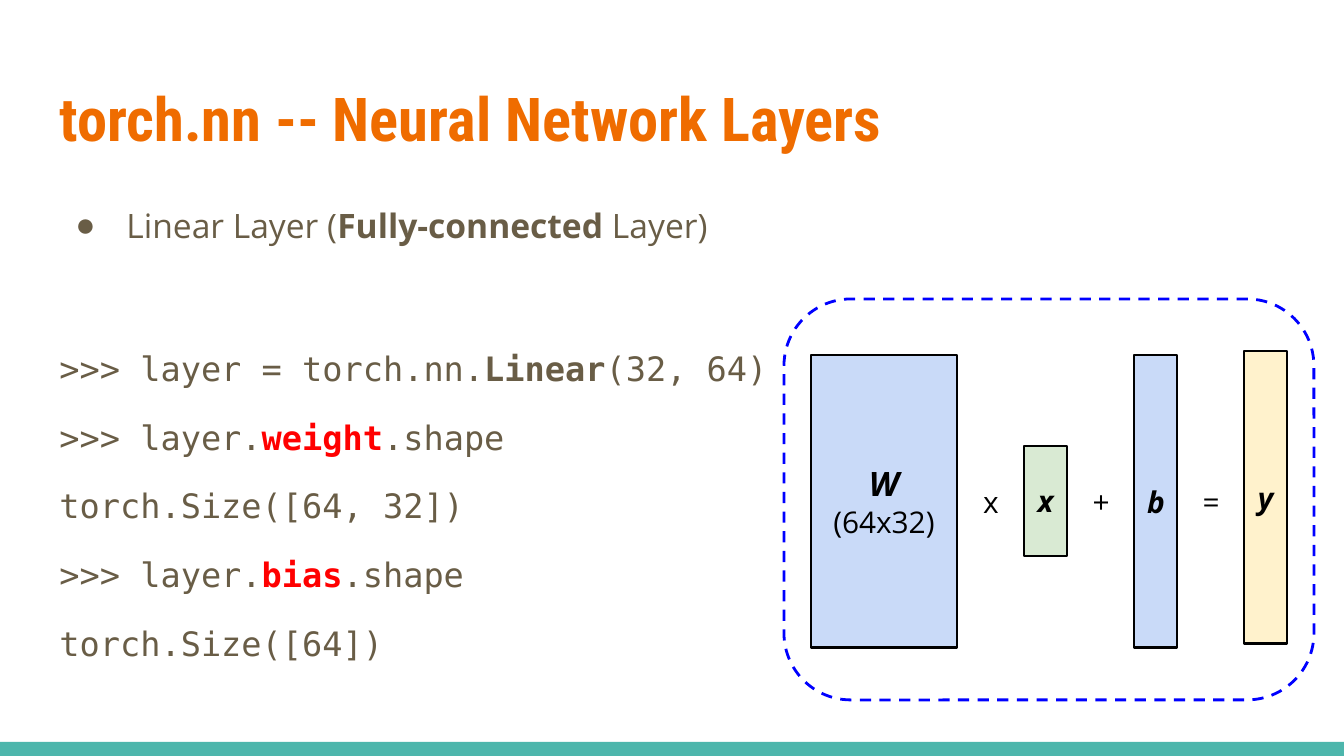
from lxml import etree
from pptx import Presentation, util as u
from pptx.dml.color import RGBColor
from pptx.enum import dml, shapes, text
from pptx.oxml.ns import qn

PX = 914400 / 134.4
INK, RED, BLACK = "695D46", "FF0000", "000000"
SANS, MONO = "Open Sans", "DejaVu Sans Mono"


def rgb(value):
    return RGBColor.from_string(value)


def write(p, s, size, font, color, **fmt):
    r = p.add_run()
    r.text = s
    r.font.color.rgb = rgb(color)
    for name, value in dict(size=u.Pt(size), name=font, **fmt).items():
        setattr(r.font, name, value)


prs = Presentation()
prs.slide_width, prs.slide_height = int(1344 * PX), int(756 * PX)
s = prs.slides.add_slide(prs.slide_layouts[1])
title, body = s.placeholders

# Footer bar
bar = s.shapes.add_shape(shapes.MSO_SHAPE.RECTANGLE, 0, int(742 * PX),
                         prs.slide_width, int(14 * PX))
bar.shadow.inherit = False
bar.fill.solid()
bar.fill.fore_color.rgb = rgb("4DB6AC")
bar.line.fill.background()

# Placeholder frames
for sp, top, height, anchor in ((title, 66, 103, text.MSO_ANCHOR.MIDDLE),
                                (body, 185, 485, text.MSO_ANCHOR.TOP)):
    frame = dict(left=46, top=top, width=1253, height=height)
    for name, value in frame.items():
        setattr(sp, name, int(value * PX))
    tf = sp.text_frame
    tf.auto_size = text.MSO_AUTO_SIZE.NONE
    tf.vertical_anchor = anchor
    for side in ("left", "top", "right", "bottom"):
        setattr(tf, f"margin_{side}", u.Inches(0.1))

# Title
p = title.text_frame.paragraphs[0]
p.alignment = text.PP_ALIGN.LEFT
write(p, "torch.nn -- Neural Network Layers", 32.4, "Roboto Condensed", "EF6C00", bold=True)

# Bullet and code lines: space before, font, then text parts with the bold one's colour
lines = [
    (0, SANS, "Linear Layer (", "Fully-connected", " Layer)", INK),
    (52, MONO, ">>> layer = torch.nn.", "Linear", "(32, 64)", INK),
    (12, MONO, ">>> layer.", "weight", ".shape", RED),
    (12, MONO, "torch.Size([64, 32])", "", "", INK),
    (12, MONO, ">>> layer.", "bias", ".shape", RED),
    (12, MONO, "torch.Size([64])", "", "", INK),
]
tf = body.text_frame
for i, (before, font, start, strong, end, color) in enumerate(lines):
    p = tf.add_paragraph() if i else tf.paragraphs[0]
    p.line_spacing, p.space_before, p.space_after = 1.15, u.Pt(before), u.Pt(0)
    p.alignment = text.PP_ALIGN.LEFT
    pPr = p._p.get_or_add_pPr()
    margin, indent = (67, -51) if i == 0 else (0, 0)
    pPr.set("marL", str(int(margin * PX)))
    pPr.set("indent", str(int(indent * PX)))
    if i == 0:
        clr = etree.SubElement(pPr, qn("a:buClr"))
        etree.SubElement(clr, qn("a:srgbClr"), val=INK)
        etree.SubElement(pPr, qn("a:buChar"), char="●")
    else:
        etree.SubElement(pPr, qn("a:buNone"))
    write(p, start, 18, font, INK, bold=False)
    if strong:
        write(p, strong, 18, font, color, bold=True)
        write(p, end, 18, font, INK, bold=False)

# Diagram: matrices and vectors
diagram = s.shapes.add_group_shape().shapes
boxes = [
    ("W", 811, 355, 146, 293, "C9DAF8"),
    ("x", 1024, 446, 43, 110, "D9EAD3"),
    ("b", 1134, 355, 43, 293, "C9DAF8"),
    ("y", 1244, 351, 43, 293, "FFF2CC"),
]
for label, x, y, w, h, fill in boxes:
    sp = diagram.add_shape(shapes.MSO_SHAPE.RECTANGLE, *(int(v * PX) for v in (x, y, w, h)))
    sp.shadow.inherit = False
    sp.fill.solid()
    sp.fill.fore_color.rgb = rgb(fill)
    sp.line.color.rgb = rgb(BLACK)
    sp.line.width = u.Pt(1.5)
    tf = sp.text_frame
    tf.vertical_anchor = text.MSO_ANCHOR.MIDDLE
    p = tf.paragraphs[0]
    p.alignment = text.PP_ALIGN.CENTER
    write(p, label, 18 if label == "W" else 16, SANS, BLACK, bold=True, italic=True)
    if label == "W":
        p = tf.add_paragraph()
        p.alignment = text.PP_ALIGN.CENTER
        write(p, "(64x32)", 16, SANS, BLACK)
    for side in ("left", "top", "right", "bottom"):
        setattr(tf, f"margin_{side}", u.Inches(0.1))

# Operators at an equal step
for i, sign in enumerate("x+="):
    sp = diagram.add_textbox(*(int(v * PX) for v in (964 + 110 * i, 470, 54, 63)))
    tf = sp.text_frame
    tf.word_wrap = True
    tf.auto_size = text.MSO_AUTO_SIZE.SHAPE_TO_FIT_TEXT
    for side in ("left", "top", "right", "bottom"):
        setattr(tf, f"margin_{side}", u.Inches(0.1))
    p = tf.paragraphs[0]
    p.alignment = text.PP_ALIGN.CENTER
    write(p, sign, 16, SANS, BLACK)

# Dashed frame
sp = diagram.add_shape(shapes.MSO_SHAPE.ROUNDED_RECTANGLE,
                       *(int(v * PX) for v in (784, 299, 530, 401)))
sp.shadow.inherit = False
sp.fill.background()
sp.line.color.rgb = rgb("0000FF")
sp.line.width = u.Pt(1.5)
sp.line.dash_style = dml.MSO_LINE.DASH

prs.save("out.pptx")
